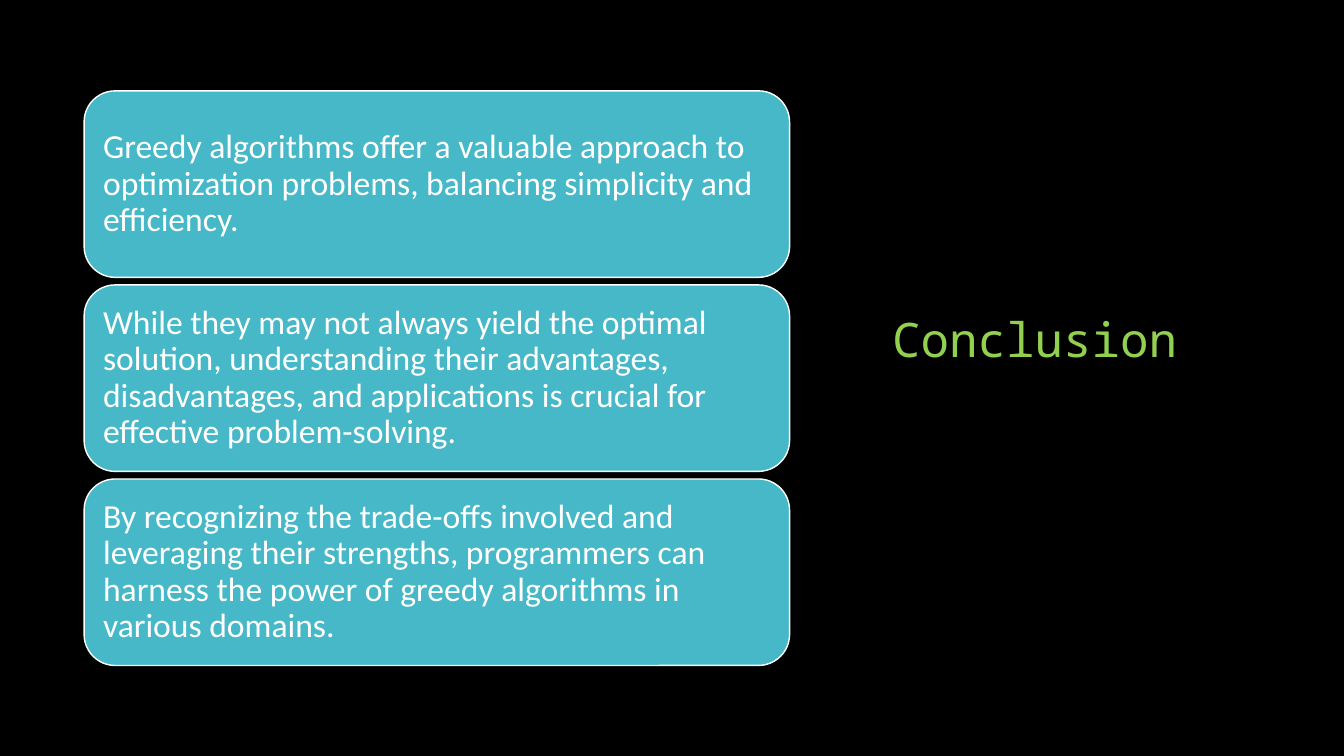
from dataclasses import dataclass

from pptx import Presentation
from pptx.dml.color import RGBColor
from pptx.enum.shapes import MSO_SHAPE as Preset
from pptx.enum.text import MSO_ANCHOR as Anchor, MSO_AUTO_SIZE as AutoSize, PP_ALIGN as Align
from pptx.shapes.autoshape import Shape
from pptx.slide import Slide
from pptx.util import Cm, Pt

BLACK = RGBColor(0x00, 0x00, 0x00)
WHITE = RGBColor(0xFF, 0xFF, 0xFF)
TEAL = RGBColor(0x47, 0xB8, 0xC7)
GREEN = RGBColor(0x92, 0xD0, 0x50)

CARD_LEFT, CARD_TOP = 2.12, 2.29
CARD_WIDTH, CARD_HEIGHT = 17.78, 4.7
CARD_PITCH = 4.89


@dataclass(frozen=True)
class TextStyle:
    font: str
    size: float
    color: RGBColor
    anchor: Anchor
    inset: float = 0.25


@dataclass(frozen=True)
class Card:
    row: int
    text: str

    @property
    def top(self) -> float:
        return CARD_TOP + self.row * CARD_PITCH


TITLE_STYLE = TextStyle("Noto Sans Mono", 34, GREEN, Anchor.BOTTOM)
CARD_STYLE = TextStyle("Calibri", 24, WHITE, Anchor.MIDDLE)

TAKEAWAYS = (
    "Greedy algorithms offer a valuable approach to optimization problems, "
    "balancing simplicity and efficiency.",
    "While they may not always yield the optimal solution, understanding their "
    "advantages, disadvantages, and applications is crucial for effective "
    "problem-solving.",
    "By recognizing the trade-offs involved and leveraging their strengths, "
    "programmers can harness the power of greedy algorithms in various domains.",
)


def apply_format(target: object, values: dict[str, object]) -> None:
    for name, value in values.items():
        setattr(target, name, value)


def write_text(box: Shape, text: str, style: TextStyle) -> None:
    frame = box.text_frame
    inset = Cm(style.inset)
    apply_format(frame, {
        "word_wrap": True,
        "auto_size": AutoSize.NONE,
        "vertical_anchor": style.anchor,
        "margin_left": inset,
        "margin_right": inset,
        "margin_top": inset,
        "margin_bottom": inset,
    })
    para = frame.paragraphs[0]
    apply_format(para, {"alignment": Align.LEFT, "line_spacing": 0.9})
    span = para.add_run()
    span.text = text
    apply_format(span.font, {"name": style.font, "size": Pt(style.size)})
    span.font.color.rgb = style.color


def draw_title(page: Slide) -> None:
    title = page.shapes.title
    apply_format(title, {
        "left": Cm(22.23),
        "top": Cm(4.45),
        "width": Cm(8.66),
        "height": Cm(5.08),
    })
    write_text(title, "Conclusion", TITLE_STYLE)


def draw_card(page: Slide, card: Card) -> None:
    box = page.shapes.add_shape(
        Preset.ROUNDED_RECTANGLE,
        Cm(CARD_LEFT), Cm(card.top), Cm(CARD_WIDTH), Cm(CARD_HEIGHT),
    )
    box.shadow.inherit = False
    box.fill.solid()
    box.fill.fore_color.rgb = TEAL
    box.line.color.rgb = WHITE
    box.line.width = Pt(1)
    write_text(box, card.text, CARD_STYLE)


def main() -> None:
    deck = Presentation()
    apply_format(deck, {"slide_width": Cm(33.87), "slide_height": Cm(19.05)})
    page = deck.slides.add_slide(deck.slide_layouts.get_by_name("Title Only"))
    page.background.fill.solid()
    page.background.fill.fore_color.rgb = BLACK
    draw_title(page)
    for row, text in enumerate(TAKEAWAYS):
        draw_card(page, Card(row, text))
    deck.save("out.pptx")


if __name__ == "__main__":
    main()
